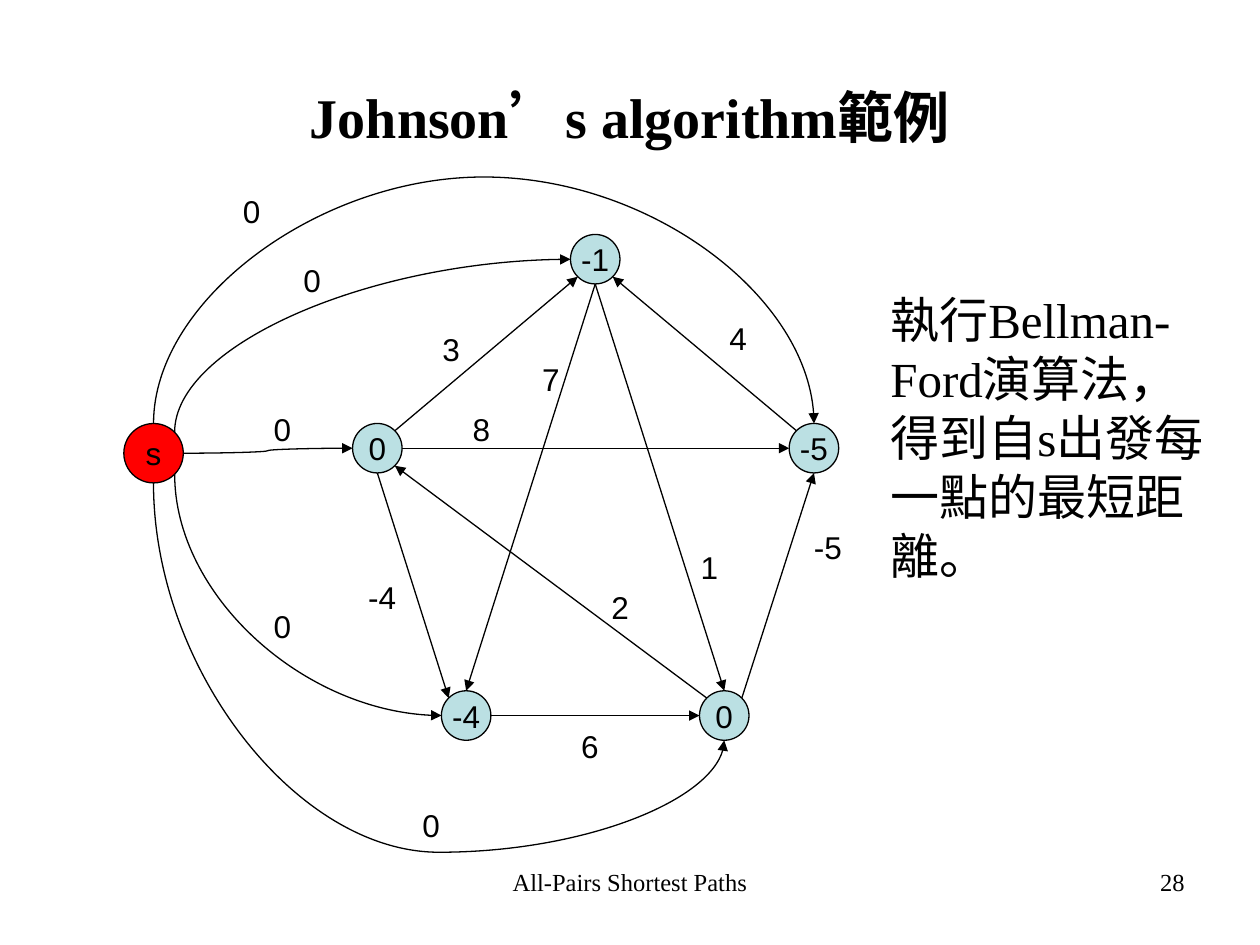
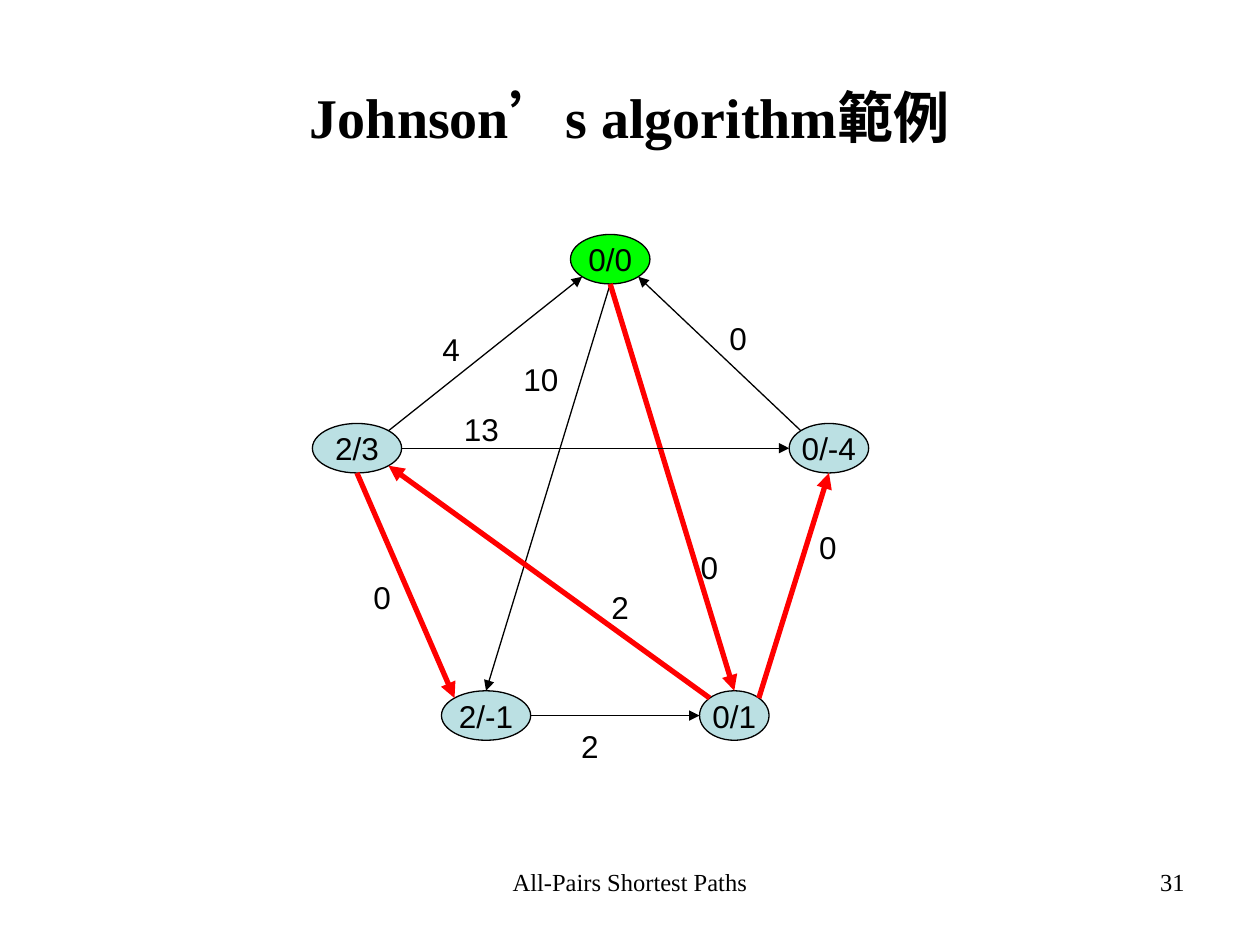
"""Build two slides of Johnson's algorithm as weighted graphs."""
import dataclasses
import math

import lxml.etree
import pptx
import pptx.dml.color
import pptx.enum.lang
import pptx.enum.shapes
import pptx.enum.text
import pptx.oxml.ns
import pptx.util

TITLE = [("Johnson", False), ("’", True), ("s algorithm", False), ("範例", True)]
FOOTER = "All-Pairs Shortest Paths"
NODE_CORNERS = {
    "top": (326, 134),
    "left": (201.5, 242),
    "right": (451, 242),
    "low_left": (252.25, 394.75),
    "low_right": (399.75, 394.75),
}
EDGES = [
    ("left", 7, "top", 3, (224, 185)),
    ("right", 1, "top", 5, (388, 179)),
    ("left", 4, "low_left", 1, (184.5, 327)),
    ("low_left", 6, "low_right", 2, (303.25, 412)),
    ("low_right", 7, "right", 4, (439.25, 298)),
    ("top", 4, "low_left", 0, (281, 202)),
    ("top", 4, "low_right", 0, (371.5, 309.5)),
    ("low_right", 1, "left", 5, (320.5, 332.5)),
    ("left", 6, "right", 2, (241.25, 230.5)),
]
SOURCE_ARCS = [
    (7, "top", 2, 270, None, None, (144.5, 145.5)),
    (0, "right", 0, 90, "flipV", -149, (110, 106)),
    (6, "left", 2, 0, "flipV", 48.2, (127.5, 230.5)),
    (5, "low_left", 2, 270, "flipH", None, (127.5, 343.5)),
    (4, "low_right", 4, 270, "flipH", 211, (212.5, 457)),
]
SLIDES = [
    {
        "number": "28",
        "nodes": {"top": ("-1", 28.3), "left": ("0", 28.3), "right": ("-5", 28.3),
                  "low_left": ("-4", 28.3), "low_right": ("0", 28.3)},
        "weights": ["3", "4", "-4", "6", "-5", "7", "1", "2", "8"],
        "source": ("s", (70.75, 242), 34),
        "remark": "執行Bellman-Ford演算法，得到自s出發每一點的最短距離。",
    },
    {
        "number": "31",
        "nodes": {"top": ("0/0", 45.4), "left": ("2/3", 51), "right": ("0/-4", 45.4),
                  "low_left": ("2/-1", 51), "low_right": ("0/1", 39.7)},
        "left_shift": 23,
        "weights": ["4", "0", "0", "2", "0", "10", "0", "2", "13"],
        "label_shifts": {5: -5.75},
        "start": "top",
        "tree_edges": {2, 4, 6, 7},
    },
]


@dataclasses.dataclass(frozen=True)
class Theme:
    black: str = "000000"
    node: str = "BBE0E3"
    start: str = "00FF00"
    accent: str = "FF0000"
    serif: str = "Times New Roman"
    sans: str = "Arial"
    title_size: float = 32
    remark_size: float = 28
    graph_size: float = 18
    footer_size: float = 14
    thin: float = 0.75
    thick: float = 3
    node_height: float = 28.3


THEME = Theme()
ALIGN = pptx.enum.text.PP_ALIGN
ANCHOR = pptx.enum.text.MSO_ANCHOR
CONNECTOR = pptx.enum.shapes.MSO_CONNECTOR
OVAL = pptx.enum.shapes.MSO_SHAPE.OVAL
CHINESE = pptx.enum.lang.MSO_LANGUAGE_ID.TRADITIONAL_CHINESE


def apply(target, values):
    for name, value in values.items():
        setattr(target, name, value)


def points(*lengths):
    return [pptx.util.Pt(length) for length in lengths]


def rgb(code):
    return pptx.dml.color.RGBColor.from_string(code)


def child(parent, tag, **attributes):
    return lxml.etree.SubElement(parent, pptx.oxml.ns.qn(tag), attributes)


def write(paragraph, text, face, size, align, bold=False):
    paragraph.alignment = align
    run = paragraph.add_run()
    run.text = text
    apply(run.font, {"name": face, "size": pptx.util.Pt(size), "bold": bold})
    run.font.color.rgb = rgb(THEME.black)
    return run


def add_text(slide, text, box, face, size, align):
    frame = slide.shapes.add_textbox(*points(*box)).text_frame
    frame.word_wrap = True
    write(frame.paragraphs[0], text, face, size, align)


def add_weight(slide, text, corner):
    add_text(slide, text, (*corner, 67.7, 28.8), THEME.sans, THEME.graph_size, ALIGN.CENTER)


def add_title(slide):
    title = slide.shapes.title
    apply(title, dict(zip(("left", "top", "width", "height"), points(36, 21.6, 648, 90))))
    title.text_frame.vertical_anchor = ANCHOR.MIDDLE
    for text, chinese in TITLE:
        run = write(title.text_frame.paragraphs[0], text, THEME.serif,
                    THEME.title_size, ALIGN.CENTER, True)
        if chinese:
            run.font.language_id = CHINESE


def add_node(slide, text, corner, width, height, fill):
    node = slide.shapes.add_shape(OVAL, *points(*corner, width, height))
    node.shadow.inherit = False
    node.fill.solid()
    node.fill.fore_color.rgb = rgb(fill)
    node.line.color.rgb = rgb(THEME.black)
    node.line.width = pptx.util.Pt(THEME.thin)
    apply(node.text_frame, {"word_wrap": False, "vertical_anchor": ANCHOR.MIDDLE})
    write(node.text_frame.paragraphs[0], text, THEME.sans, THEME.graph_size, ALIGN.CENTER)
    return node


def site_point(node, site):
    angle = math.radians(90 + 45 * site)
    return ((node.left + node.width / 2 * (1 + math.cos(angle))) / 12700,
            (node.top + node.height / 2 * (1 - math.sin(angle))) / 12700)


def finish_link(link, origin, origin_site, target, target_site, color, width):
    link.line.color.rgb = rgb(color)
    link.line.width = pptx.util.Pt(width)
    child(link.line._get_or_add_ln(), "a:tailEnd", type="triangle")
    child(link._element.spPr, "a:effectLst")
    glue = link._element.xpath(".//p:cNvCxnSpPr")[0]
    child(glue, "a:stCxn", id=str(origin.shape_id), idx=str(origin_site))
    child(glue, "a:endCxn", id=str(target.shape_id), idx=str(target_site))


def add_edge(slide, origin, origin_site, target, target_site, highlighted):
    edge = slide.shapes.add_connector(
        CONNECTOR.STRAIGHT,
        *points(*site_point(origin, origin_site), *site_point(target, target_site)))
    color, width = (THEME.accent, THEME.thick) if highlighted else (THEME.black, THEME.thin)
    finish_link(edge, origin, origin_site, target, target_site, color, width)


def add_arc(slide, origin, origin_site, target, target_site, turn, flip, reach):
    x1, y1 = site_point(origin, origin_site)
    x2, y2 = site_point(target, target_site)
    width, height = abs(x2 - x1), abs(y2 - y1)
    if turn:
        width, height = height, width
    width = max(width, 0.12)
    left, top = (x1 + x2 - width) / 2, (y1 + y2 - height) / 2
    arc = slide.shapes.add_connector(
        CONNECTOR.CURVE, *points(left, top, left + width, top + height))
    frame = arc._element.spPr.find(pptx.oxml.ns.qn("a:xfrm"))
    frame.set("rot", str(turn * 60000))
    if flip:
        frame.set(flip, "1")
    geometry = arc._element.spPr.find(pptx.oxml.ns.qn("a:prstGeom"))
    if reach is None:
        geometry.set("prst", "curvedConnector2")
    else:
        guides = geometry.find(pptx.oxml.ns.qn("a:avLst"))
        child(guides, "a:gd", name="adj1", fmla=f"val {round(reach / width * 100000)}")
    finish_link(arc, origin, origin_site, target, target_site, THEME.black, THEME.thin)


def add_graph(slide, content):
    nodes = {}
    for key, (text, width) in content["nodes"].items():
        left, top = NODE_CORNERS[key]
        if key == "left":
            left -= content.get("left_shift", 0)
        fill = THEME.start if key == content.get("start") else THEME.node
        nodes[key] = add_node(slide, text, (left, top), width, THEME.node_height, fill)
    shifts = content.get("label_shifts", {})
    for index, (edge, weight) in enumerate(zip(EDGES, content["weights"])):
        origin, origin_site, target, target_site, (left, top) = edge
        add_weight(slide, weight, (left + shifts.get(index, 0), top))
        add_edge(slide, nodes[origin], origin_site, nodes[target], target_site,
                 index in content.get("tree_edges", ()))
    if "source" in content:
        text, corner, size = content["source"]
        source = add_node(slide, text, corner, size, size, THEME.accent)
        for site, target, target_site, turn, flip, reach, label in SOURCE_ARCS:
            add_arc(slide, source, site, nodes[target], target_site, turn, flip, reach)
            add_weight(slide, "0", label)


def main():
    deck = pptx.Presentation()
    apply(deck, dict(zip(("slide_width", "slide_height"), points(720, 540))))
    for content in SLIDES:
        slide = deck.slides.add_slide(deck.slide_layouts.get_by_name("Title Only"))
        add_title(slide)
        add_text(slide, FOOTER, (246, 492, 228, 37.5), THEME.serif, THEME.footer_size,
                 ALIGN.CENTER)
        add_text(slide, content["number"], (516, 492, 168, 37.5), THEME.serif,
                 THEME.footer_size, ALIGN.RIGHT)
        add_graph(slide, content)
        if "remark" in content:
            add_text(slide, content["remark"], (501.75, 162, 198.5, 175.5), THEME.serif,
                     THEME.remark_size, ALIGN.LEFT)
    deck.save("out.pptx")


if __name__ == "__main__":
    main()
